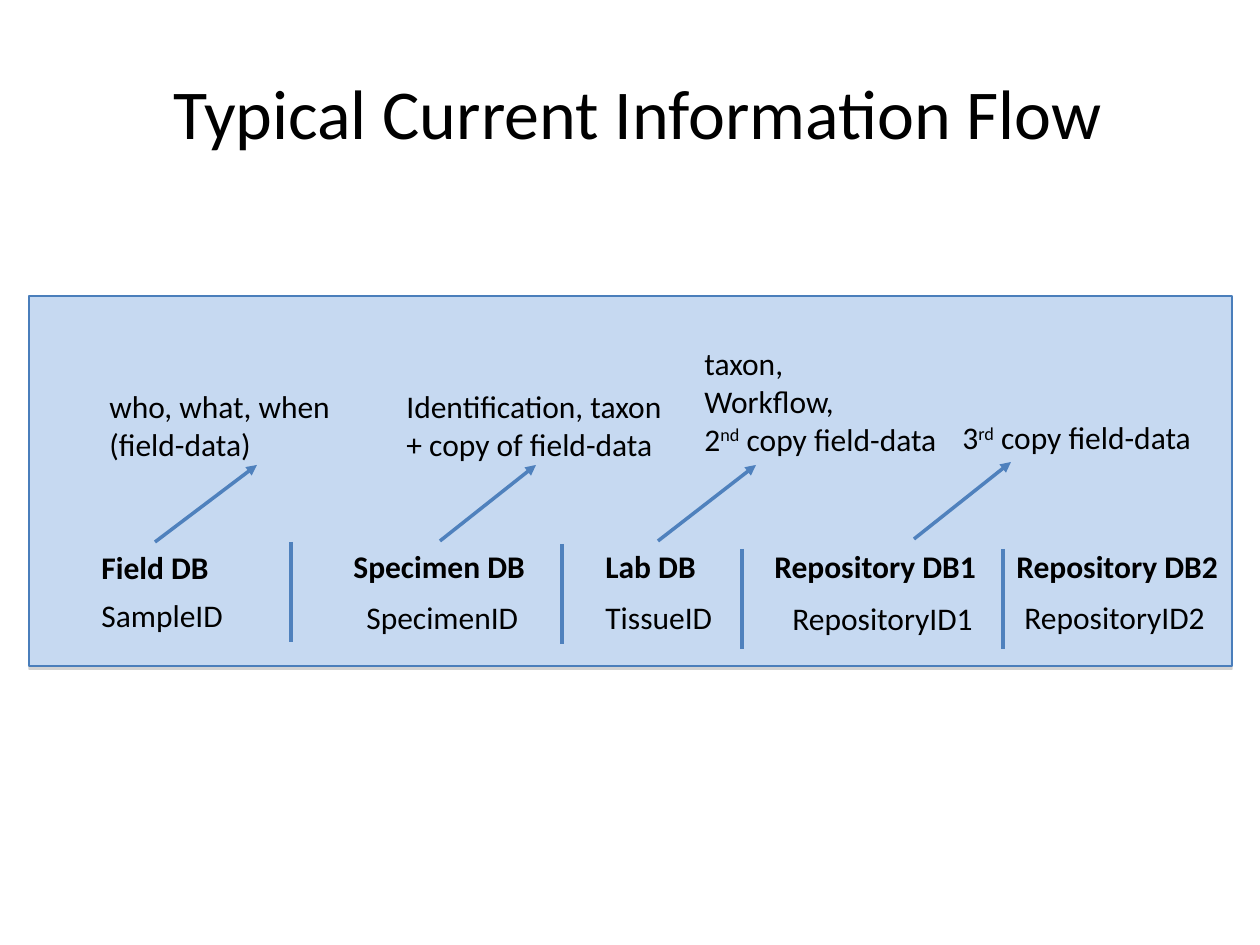
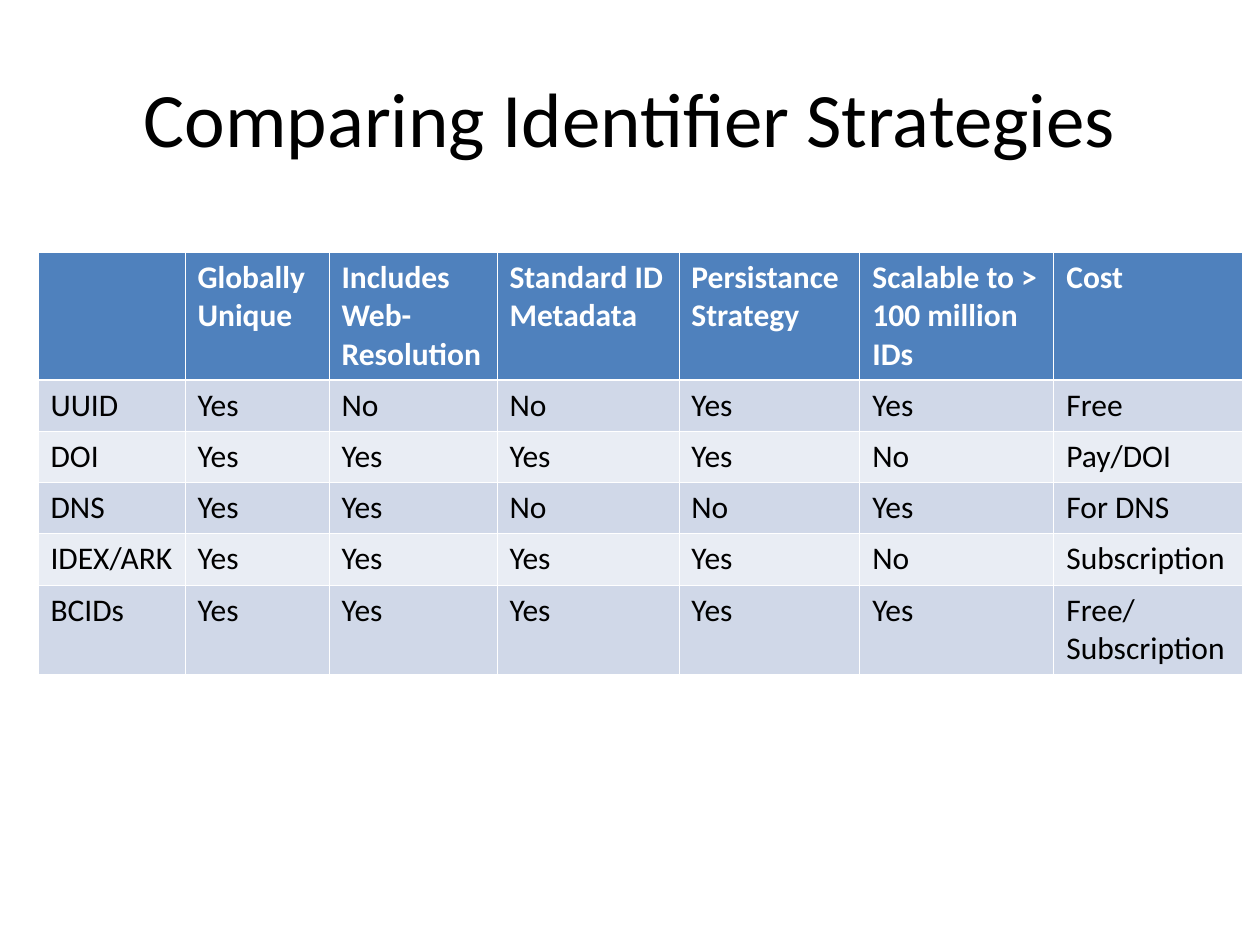
from lxml import etree
from pptx import Presentation
from pptx import util as u
from pptx.dml.color import RGBColor
from pptx.enum import shapes, text
from pptx.oxml import parse_xml
from pptx.oxml.ns import nsdecls, qn

SCALE = u.Inches(1) / 126
FONT = "Calibri"
BLACK, WHITE, BLUE = "000000", "FFFFFF", "4F81BD"
PANEL_FILL, PANEL_EDGE = "C6D9F1", "4A7EBB"
BANDS = ["D0D8E8", "E9EDF4"]
LINE_HEIGHT = 38

DATABASES = [
    ("Field DB", (60, 246, 132), "SampleID", (60, 294, 146)),
    ("Specimen DB", (312, 245, 197), "SpecimenID", (325, 296, 176)),
    ("Lab DB", (564, 245, 116), "TissueID", (564, 296, 131)),
    ("Repository DB1", (733, 245, 227), "RepositoryID1", (751, 297, 207)),
    ("Repository DB2", (975, 245, 227), "RepositoryID2", (983, 296, 207)),
]
CONTENTS = [
    ("who, what, when\n(field-data)", (68, 85, 253)),
    ("Identification, taxon\n+ copy of field-data", (365, 85, 282)),
    ("taxon,\nWorkflow,\n2^nd^ copy field-data", (663, 42, 258)),
    ("3^rd^ copy field-data", (921, 116, 255)),
]
ARROWS = [(126, 246, 228, 169), (411, 245, 507, 169),
          (629, 245, 727, 169), (885, 243, 982, 166)]
DIVIDERS = [(262, 246), (533, 248), (713, 253), (974, 253)]
DIVIDER_HEIGHT = 100

STRATEGIES = [
    ["", "Globally Unique", "Includes Web-Resolution", "Standard ID Metadata",
     "Persistance Strategy", "Scalable to > 100 million IDs", "Cost"],
    ["UUID", "Yes", "No", "No", "Yes", "Yes", "Free"],
    ["DOI", "Yes", "Yes", "Yes", "Yes", "No", "Pay/DOI"],
    ["DNS", "Yes", "Yes", "No", "No", "Yes", "For DNS"],
    ["IDEX/ARK", "Yes", "Yes", "Yes", "Yes", "No", "Subscription"],
    ["BCIDs", "Yes", "Yes", "Yes", "Yes", "Yes", "Free/Subscription"],
]
COLUMN_WIDTHS = [147, 144, 168, 182, 181, 194, 189]
ROW_HEIGHTS = [128, 51, 51, 51, 52, 89]


def px(*lengths):
    """Turn px lengths into EMU."""
    return [u.Emu(round(length * SCALE)) for length in lengths]


def color(hex_string):
    """Turn a hex string into a colour."""
    return RGBColor.from_string(hex_string)


def style(run, size=18, bold=False, ink=BLACK):
    """Give a run the deck's font."""
    run.font.name, run.font.size, run.font.bold = FONT, u.Pt(size), bold
    run.font.color.rgb = color(ink)


def add_label(parent, wording, box, size=18, bold=False):
    """Add unwrapped text, raising whatever stands between carets."""
    frame = parent.shapes.add_textbox(*px(*box)).text_frame
    frame.word_wrap = False
    frame.text = wording
    for paragraph in frame.paragraphs:
        pieces = paragraph.text.split("^")
        paragraph.text = pieces[0]
        for piece in pieces[1:]:
            paragraph.add_run().text = piece
        for index, run in enumerate(paragraph.runs):
            style(run, size, bold)
            if index % 2:
                run.font._element.set("baseline", "30000")
    return frame


def add_title(slide, wording, box, size):
    """Add the centred slide title."""
    frame = add_label(slide, wording, box, size)
    frame.vertical_anchor = text.MSO_ANCHOR.MIDDLE
    frame.paragraphs[0].alignment = text.PP_ALIGN.CENTER


def add_line(parent, ends, arrow=False):
    """Add a blue line, with an arrowhead at its end if asked."""
    line = parent.shapes.add_connector(shapes.MSO_CONNECTOR.STRAIGHT, *px(*ends))
    line.line.color.rgb = color(BLUE)
    line.line.width = u.Pt(2)
    if arrow:
        etree.SubElement(line.line._get_or_add_ln(), qn("a:tailEnd"), type="triangle")
    etree.SubElement(line._element.spPr, qn("a:effectLst"))


def add_panel(parent, box):
    """Add the pale panel with its soft shadow."""
    panel = parent.shapes.add_shape(shapes.MSO_SHAPE.RECTANGLE, *px(*box))
    panel.fill.solid()
    panel.fill.fore_color.rgb = color(PANEL_FILL)
    panel.line.color.rgb = color(PANEL_EDGE)
    panel.line.width = u.Pt(0.75)
    panel._element.spPr.append(parse_xml(
        f'<a:effectLst {nsdecls("a")}><a:outerShdw blurRad="0" dist="23000" '
        'dir="5400000" rotWithShape="0"><a:srgbClr val="808080">'
        '<a:alpha val="35000"/></a:srgbClr></a:outerShdw></a:effectLst>'))


def add_flow(slide, box):
    """Draw the databases and what each one holds inside the box."""
    left, top = box[:2]
    flow = slide.shapes.add_group_shape()
    add_panel(flow, box)

    def place(wording, spot, bold=False):
        """Put a label at a spot in the box, with no right inset so it stays unbroken."""
        x, y, width = spot
        height = LINE_HEIGHT * (wording.count("\n") + 1) + 12
        label = add_label(flow, wording, (left + x, top + y, width, height), bold=bold)
        label.margin_right = 0

    for database, name_spot, identifier, id_spot in DATABASES:
        place(database, name_spot, bold=True)
        place(identifier, id_spot)
    for content, spot in CONTENTS:
        place(content, spot)
    for x1, y1, x2, y2 in ARROWS:
        add_line(flow, (left + x1, top + y1, left + x2, top + y2), arrow=True)
    for x, y in DIVIDERS:
        add_line(flow, (left + x, top + y, left + x, top + y + DIVIDER_HEIGHT))


def add_borders(cell, row):
    """Rule a cell in white, heavier under the header row."""
    heavy_side = {0: "B", 1: "T"}.get(row)
    for side in "LRTB":
        width = u.Pt(1.47 if side == heavy_side else 0.45)
        cell._tc.get_or_add_tcPr().append(parse_xml(
            f'<a:ln{side} {nsdecls("a")} w="{width}"><a:solidFill>'
            f'<a:srgbClr val="{WHITE}"/></a:solidFill></a:ln{side}>'))


def add_comparison(slide, left, top):
    """Add the table of identifier strategies."""
    size = px(left, top, sum(COLUMN_WIDTHS), sum(ROW_HEIGHTS))
    table = slide.shapes.add_table(len(STRATEGIES), len(COLUMN_WIDTHS), *size).table
    for column, width in zip(table.columns, px(*COLUMN_WIDTHS)):
        column.width = width
    for row, height in zip(table.rows, px(*ROW_HEIGHTS)):
        row.height = height
    for row, values in enumerate(STRATEGIES):
        header = row == 0
        for column, value in enumerate(values):
            cell = table.cell(row, column)
            cell.text = value
            for run in cell.text_frame.paragraphs[0].runs:
                style(run, bold=header, ink=WHITE if header else BLACK)
            add_borders(cell, row)
            cell.fill.solid()
            cell.fill.fore_color.rgb = color(BLUE if header else BANDS[(row - 1) % 2])


def main():
    """Build both slides and save them."""
    deck = Presentation()
    deck.slide_width, deck.slide_height = px(1260, 945)
    blank = deck.slide_layouts[6]

    flow_slide = deck.slides.add_slide(blank)
    add_title(flow_slide, "Typical Current Information Flow", (157, 63, 961, 97), 40)
    add_flow(flow_slide, (29, 296, 1203, 370))

    comparison_slide = deck.slides.add_slide(blank)
    add_title(comparison_slide, "Comparing Identifier Strategies", (63, 38, 1134, 157), 44)
    add_comparison(comparison_slide, 38, 252)

    deck.save("out.pptx")


if __name__ == "__main__":
    main()
